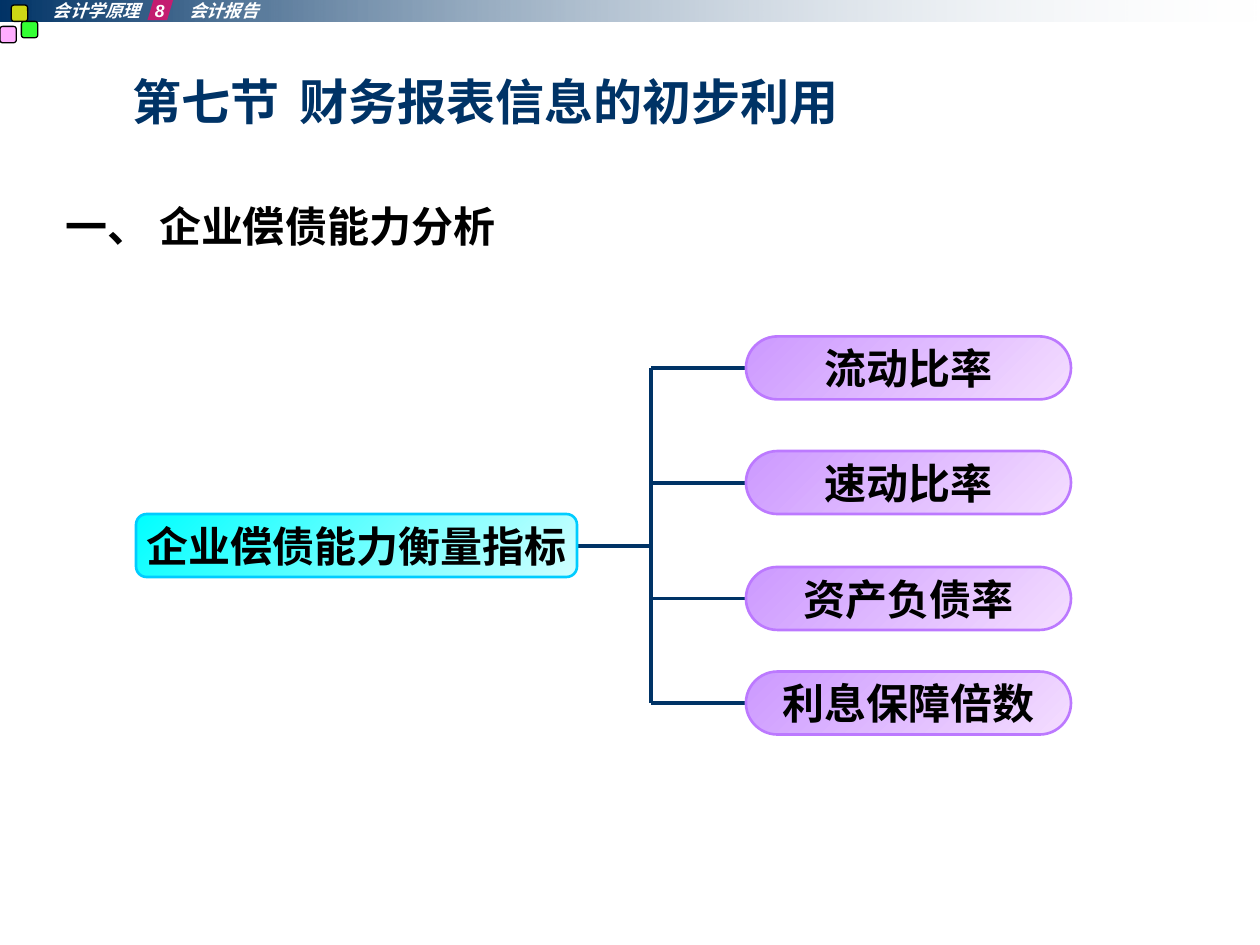
from dataclasses import dataclass

from lxml import etree
from pptx import Presentation
from pptx.dml.color import RGBColor
from pptx.enum.shapes import MSO_CONNECTOR, MSO_SHAPE
from pptx.enum.text import MSO_ANCHOR, MSO_AUTO_SIZE, PP_ALIGN
from pptx.oxml.ns import qn
from pptx.util import Inches, Pt

RECT = MSO_SHAPE.RECTANGLE
ROUND = MSO_SHAPE.ROUNDED_RECTANGLE
SLANT = MSO_SHAPE.PARALLELOGRAM
STRAIGHT = MSO_CONNECTOR.STRAIGHT
MIDDLE = MSO_ANCHOR.MIDDLE
NO_FIT = MSO_AUTO_SIZE.NONE
LEFT, CENTER = PP_ALIGN.LEFT, PP_ALIGN.CENTER


@dataclass(frozen=True)
class Theme:
    """Colours, fonts and type sizes of the slide."""
    navy: str = "003366"
    mist: str = "E7ECF1"
    black: str = "000000"
    white: str = "FFFFFF"
    pink: str = "FF99FF"
    green: str = "00FF00"
    yellow: str = "FFFF00"
    magenta: str = "FF0066"
    cyan: tuple = ("00FFFF", "D1FFFF")
    cyan_line: str = "00CCFF"
    violet: tuple = ("CC99FF", "F4DDFF")
    violet_line: str = "BC79FF"
    latin: str = "Arial"
    cjk: str = "Noto Sans CJK SC"
    header: int = 10
    title: int = 28
    body: int = 24


THEME = Theme()


def rgb(code):
    """Turn a hex code into a colour."""
    return RGBColor.from_string(code)


def add_block(slide, kind, box, colors, line=None, width=1.5, angle=0, alpha=None, adj=None):
    """Add a preset shape with a solid or two-colour fill."""
    sp = slide.shapes.add_shape(kind, *map(Inches, box))
    sp.shadow.inherit = False
    if adj is not None:
        sp.adjustments[0] = adj
    if len(colors) == 1:
        sp.fill.solid()
        sp.fill.fore_color.rgb = rgb(colors[0])
    else:
        sp.fill.gradient()
        sp.fill.gradient_angle = angle
        for stop, color in zip(sp.fill.gradient_stops, colors):
            stop.color.rgb = rgb(color)
    if alpha is not None:
        last = sp._element.spPr.findall(".//" + qn("a:srgbClr"))[-1]
        etree.SubElement(last, qn("a:alpha")).set("val", str(alpha * 1000))
    if line:
        sp.line.color.rgb = rgb(line)
        sp.line.width = Pt(width)
    else:
        sp.line.fill.background()
    return sp


def write(sp, text, size, color, align=LEFT, latin=THEME.latin, italic=False, inset=0, tabs=()):
    """Write one bold line, with tab stops in inches, into a shape."""
    tf = sp.text_frame
    tf.word_wrap = False
    tf.auto_size = NO_FIT
    tf.vertical_anchor = MIDDLE
    tf.margin_left = tf.margin_right = Inches(inset)
    tf.margin_top = tf.margin_bottom = Inches(inset / 2)
    p = tf.paragraphs[0]
    p.alignment = align
    if tabs:
        stops = etree.SubElement(p._p.get_or_add_pPr(), qn("a:tabLst"))
        for pos in tabs:
            etree.SubElement(stops, qn("a:tab"), pos=str(Inches(pos)), algn="l")
    r = p.add_run()
    r.text = text
    font = r.font
    font.name = latin
    font.size = Pt(size)
    font.bold = True
    font.italic = italic
    font.color.rgb = rgb(color)
    etree.SubElement(r._r.get_or_add_rPr(), qn("a:ea")).set("typeface", THEME.cjk)


def add_header(slide, box):
    """Draw the running header band with its squares and chapter label."""
    x, y, w, h = box
    add_block(slide, RECT, box, (THEME.navy, THEME.mist), alpha=0)
    squares = ((0, 0.21, THEME.pink), (0.17, 0.17, THEME.green), (0.09, 0.04, THEME.yellow))
    for dx, dy, color in squares:
        add_block(slide, ROUND, (x + dx, y + dy, 0.13, 0.13), (color,),
                  THEME.black, 0.75, alpha=80, adj=0.167)
    add_block(slide, SLANT, (x + 1.17, y - 0.02, 0.21, 0.18), (THEME.magenta,),
              alpha=70, adj=0.299)
    label = slide.shapes.add_textbox(*map(Inches, (x + 0.42, y, 2.92, h)))
    write(label, "会计学原理\t8\t会计报告", THEME.header, THEME.white,
          italic=True, tabs=(0.81, 1.08))


def add_headings(slide, box):
    """Place the section title and the topic heading."""
    x, y, w, h = box
    title = slide.shapes.title
    title.left, title.top, title.width, title.height = map(Inches, (x + 0.53, y, w - 0.53, 0.6))
    write(title, "第七节\t财务报表信息的初步利用", THEME.title, THEME.navy,
          latin=THEME.cjk, tabs=(1.33,))
    topic = slide.shapes.add_textbox(*map(Inches, (x, y + h - 0.5, w, 0.5)))
    write(topic, "一、 企业偿债能力分析", THEME.body, THEME.black)


def add_line(slide, x1, y1, x2, y2):
    """Draw one straight branch of the tree."""
    line = slide.shapes.add_connector(STRAIGHT, *map(Inches, (x1, y1, x2, y2)))
    line.line.color.rgb = rgb(THEME.navy)
    line.line.width = Pt(2.25)
    etree.SubElement(line._element.spPr, qn("a:effectLst"))


def add_node(slide, box, text, colors, line, adj):
    """Draw one labelled node of the tree."""
    sp = add_block(slide, ROUND, box, colors, line, angle=315, adj=adj)
    write(sp, text, THEME.body, THEME.black, CENTER, inset=0.1)


def add_tree(slide, box, root, leaves):
    """Draw the root on the left, joined to its leaves on the right."""
    x, y, w, h = box
    node_h, root_w, leaf_w = 0.5, 3.5, 2.58
    root_y = y + 1.41
    leaf_x = x + w - leaf_w
    trunk_x = leaf_x - 0.75
    mids = [y + dy + node_h / 2 for dy, _ in leaves]
    root_mid = root_y + node_h / 2
    add_line(slide, x + root_w, root_mid, trunk_x, root_mid)
    add_line(slide, trunk_x, mids[0], trunk_x, mids[-1])
    for mid in mids:
        add_line(slide, trunk_x, mid, leaf_x, mid)
    add_node(slide, (x, root_y, root_w, node_h), root, THEME.cyan, THEME.cyan_line, 0.167)
    for dy, text in leaves:
        add_node(slide, (leaf_x, y + dy, leaf_w, node_h), text,
                 THEME.violet, THEME.violet_line, 0.5)


def main():
    """Build the slide and save it."""
    prs = Presentation()
    prs.slide_width, prs.slide_height = Inches(10), Inches(7.5)
    slide = prs.slides.add_slide(prs.slide_layouts[5])
    add_header(slide, (0, 0, 10, 0.17))
    add_headings(slide, (0.52, 0.5, 9.07, 1.54))
    leaves = ((0, "流动比率"), (0.91, "速动比率"), (1.83, "资产负债率"), (2.66, "利息保障倍数"))
    add_tree(slide, (1.08, 2.67, 7.42, 3.16), "企业偿债能力衡量指标", leaves)
    prs.save("out.pptx")


if __name__ == "__main__":
    main()
